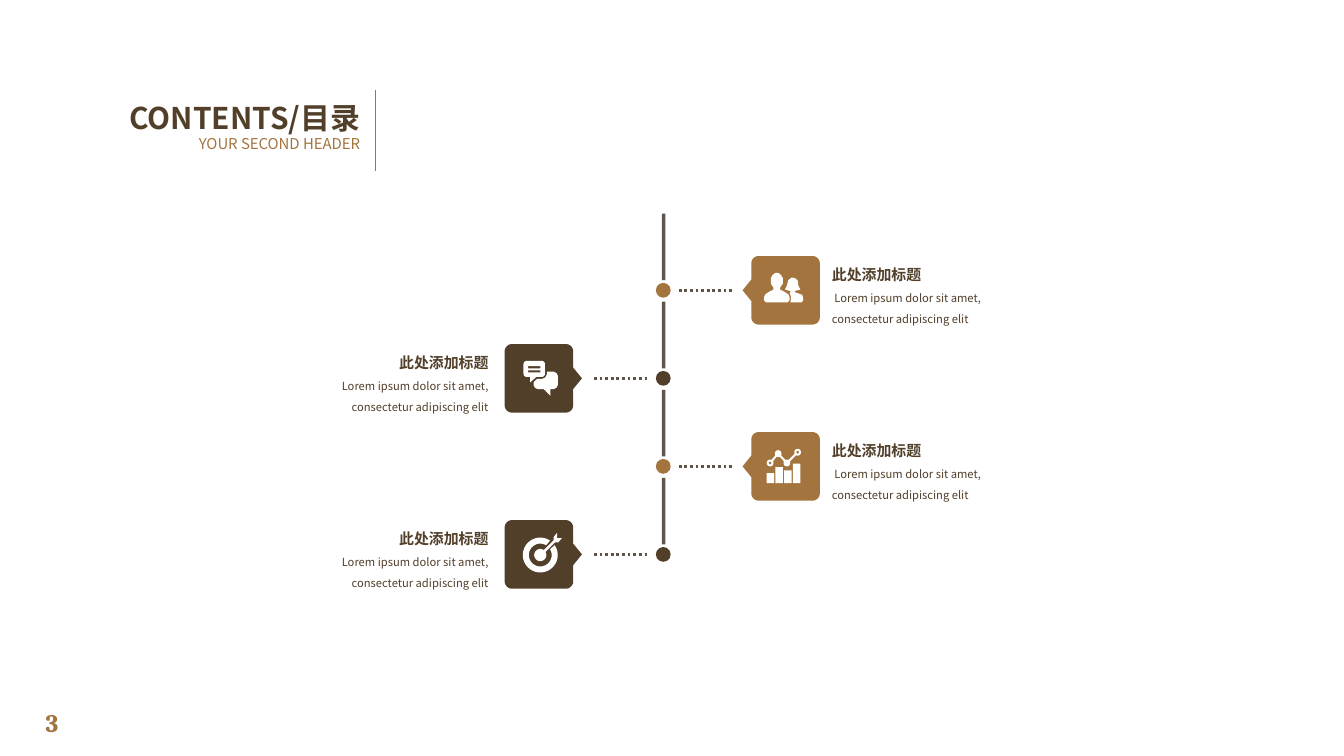
import math
from dataclasses import dataclass

import lxml.etree
import pptx
import pptx.dml.color
import pptx.enum.dml
import pptx.enum.shapes
import pptx.enum.text
import pptx.oxml.ns
import pptx.util

Inches = pptx.util.Inches
Align = pptx.enum.text.PP_ALIGN
Anchor = pptx.enum.text.MSO_ANCHOR
Kind = pptx.enum.shapes.MSO_SHAPE
qn = pptx.oxml.ns.qn
Point = tuple[float, float]
Path = list[Point]

BROWN, GOLD, GREY, WHITE = "513F2A", "A3743D", "5F5549", "FFFFFF"
SANS = "Noto Sans CJK SC"
TOP, STEP, SPINE = 4.32, 1.31, 9.87


@dataclass
class Style:
    size: float
    color: str
    bold: bool = False
    face: str = SANS
    space: float = 1.0
    align: Align = Align.LEFT
    anchor: Anchor = Anchor.TOP
    inset: bool = True
    wrap: bool = True


@dataclass
class Item:
    side: int
    color: str
    icon: list[Path]
    title: str = "此处添加标题"
    body: str = " Lorem ipsum dolor sit amet, consectetur adipiscing elit"


def paint(fmt, color: str) -> None:
    fmt.solid()
    fmt.fore_color.rgb = pptx.dml.color.RGBColor.from_string(color)


def finish(shape, color: str) -> None:
    shape.shadow.inherit = False
    paint(shape.fill, color)
    shape.line.fill.background()


def write(slide, box: tuple, text: str, style: Style) -> None:
    frame = slide.shapes.add_textbox(*map(Inches, box)).text_frame
    frame.word_wrap = style.wrap
    frame.vertical_anchor = style.anchor
    if not style.inset:
        frame.margin_left = frame.margin_right = 0
        frame.margin_top = frame.margin_bottom = 0
    frame.text = text
    para = frame.paragraphs[0]
    para.alignment = style.align
    para.line_spacing = style.space
    font = para.runs[0].font
    font.size = pptx.util.Pt(style.size)
    font.bold = style.bold
    font.name = style.face
    paint(font.fill, style.color)
    east = lxml.etree.Element(qn("a:ea"), typeface=style.face)
    para.runs[0]._r.rPr.find(qn("a:latin")).addnext(east)


def rule(slide, start: Point, end: Point, color: str, width: float, dash=None) -> None:
    line = slide.shapes.add_connector(
        pptx.enum.shapes.MSO_CONNECTOR.STRAIGHT, *map(Inches, start + end))
    paint(line.line.fill, color)
    line.line.width = pptx.util.Pt(width)
    if dash:
        line.line.dash_style = dash
    lxml.etree.SubElement(line._element.spPr, qn("a:effectLst"))


def block(slide, kind: Kind, box: tuple, color: str) -> None:
    finish(slide.shapes.add_shape(kind, *map(Inches, box)), color)


def draw(group, paths: list[Path], mid: Point, color: str) -> None:
    build = None
    for path in paths:
        spots = [(Inches(mid[0] + x), Inches(mid[1] + y)) for x, y in path]
        if build is None:
            build = group.shapes.build_freeform(*spots[0], scale=1.0)
        else:
            build.move_to(*spots[0])
        build.add_line_segments(spots[1:], close=True)
    finish(build.convert_to_shape(), color)


def arc(x: float, y: float, r: float, start: float = 0, end: float = 360) -> Path:
    count = max(6, round(abs(end - start) / 10))
    turns = [math.radians(start + (end - start) * i / count) for i in range(count + 1)]
    return [(x + r * math.cos(t), y + r * math.sin(t)) for t in turns]


def rect(x: float, y: float, w: float, h: float) -> Path:
    return [(x, y), (x + w, y), (x + w, y + h), (x, y + h)]


def pad(x: float, y: float, w: float, h: float, r: float, tail: Path) -> Path:
    right, low = x + w - r, y + h - r
    return (arc(x + r, low, r, 90, 180) + arc(x + r, y + r, r, 180, 270)
            + arc(right, y + r, r, 270, 360) + arc(right, low, r, 0, 90) + tail)


def strip(a: Point, b: Point, trim: float = 0.05, half: float = 0.015) -> Path:
    size = math.dist(a, b)
    u, v = (b[0] - a[0]) / size, (b[1] - a[1]) / size
    ends = [(a[0] + u * trim, a[1] + v * trim), (b[0] - u * trim, b[1] - v * trim)]
    up = [(x - v * half, y + u * half) for x, y in ends]
    down = [(x + v * half, y - u * half) for x, y in reversed(ends)]
    return up + down


def people() -> list[Path]:
    half = [(0.02, -0.26), (0.06, -0.23), (0.09, -0.18), (0.09, -0.1), (0.05, -0.04),
            (0.05, -0.01), (0.11, 0.02), (0.17, 0.06), (0.19, 0.1), (0.19, 0.15),
            (0.16, 0.18)]
    man = [(x - 0.13, y) for x, y in half] + [(-x - 0.13, y) for x, y in reversed(half)]
    woman = [(0.07, 0.18), (0.08, 0.15), (0.08, 0.09), (0.06, 0.04), (0.07, 0.03),
             (0.07, 0.01), (-0.01, -0.01), (0.02, -0.07), (0.04, -0.15), (0.09, -0.19),
             (0.14, -0.18), (0.18, -0.15), (0.19, -0.07), (0.22, -0.01), (0.14, 0.01),
             (0.14, 0.03), (0.2, 0.05), (0.25, 0.07), (0.26, 0.11), (0.26, 0.15),
             (0.24, 0.18)]
    return [man, woman]


def chat() -> list[Path]:
    tail = [(-0.04, -0.02), (-0.13, 0.06), (-0.13, -0.02)]
    back = [(0.12, -0.1), (0.22, -0.1), (0.26, -0.08), (0.28, -0.04), (0.28, 0.1),
            (0.26, 0.14), (0.22, 0.16), (0.17, 0.16), (0.17, 0.26), (0.07, 0.16),
            (-0.02, 0.16), (-0.06, 0.14), (-0.08, 0.1), (-0.08, 0.06), (-0.03, 0.01),
            (0.04, 0.01), (0.09, -0.01), (0.12, -0.06)]
    lines = [rect(-0.16, y, 0.18, 0.03) for y in (-0.18, -0.12)]
    return [pad(-0.23, -0.26, 0.32, 0.24, 0.05, tail), *lines, back]


def chart() -> list[Path]:
    bars = [rect(-0.28 + 0.13 * i, y, 0.11, 0.25 - y)
            for i, y in enumerate((0.1, 0.01, 0.06, -0.04))]
    nodes = [(-0.23, -0.05), (-0.11, -0.19), (0.02, -0.05), (0.18, -0.21)]
    dots = [arc(*node, 0.05) for node in nodes]
    holes = [arc(*node, 0.02) for node in (nodes[0], nodes[-1])]
    return bars + dots + holes + [strip(a, b) for a, b in zip(nodes, nodes[1:])]


def target() -> list[Path]:
    ring = arc(0, 0, 0.26, -34, 304) + arc(0, 0, 0.17, 301, -31)
    dart = [(0.05, -0.07), (0.2, -0.22), (0.2, -0.27), (0.25, -0.33), (0.25, -0.25),
            (0.32, -0.25), (0.27, -0.19), (0.22, -0.19), (0.08, -0.05)]
    paths = [ring, arc(0, 0, 0.09, -32, 306) + dart]
    return [[(x + 0.02, y + 0.01) for x, y in path] for path in paths]


def entry(slide, row: int, item: Item) -> None:
    y = TOP + STEP * row
    right = item.side > 0
    block(slide, Kind.RECTANGLE, (9.85, y - 1.14, 0.05, 0.99), GREY)
    block(slide, Kind.OVAL, (SPINE - 0.11, y - 0.11, 0.22, 0.22), item.color)
    near, far = SPINE + item.side * 0.23, SPINE + item.side * 1.03
    rule(slide, (min(near, far), y), (max(near, far), y), GREY, 3,
         pptx.enum.dml.MSO_LINE.ROUND_DOT)

    mid = (11.69 if right else 8.02, y)
    tip = [(0.16, 0.51), (0, 0.64), (-0.16, 0.51)]
    card = pad(-0.51, -0.51, 1.02, 1.02, 0.11, tip)
    group = slide.shapes.add_group_shape()
    draw(group, [[(-item.side * b, a) for a, b in card]], mid, item.color)
    draw(group, item.icon, mid, WHITE)

    align = Align.LEFT if right else Align.RIGHT
    write(slide, (12.38 if right else 5.19, y - 0.5, 2.08, 0.39), item.title,
          Style(16, BROWN, True, space=1.5, align=align, anchor=Anchor.MIDDLE, inset=False))
    write(slide, (12.38 if right else 4.34, y - 0.08, 2.93, 0.59), item.body,
          Style(12, BROWN, space=1.5, align=align, inset=False))


def main() -> None:
    deck = pptx.Presentation()
    deck.slide_width, deck.slide_height = Inches(20), Inches(11.25)
    slide = deck.slides.add_slide(deck.slide_layouts[6])
    write(slide, (0.58, 10.48, 0.71, 0.56), "3",
          Style(27, GOLD, True, "Cambria", wrap=False))
    rule(slide, (5.58, 1.34), (5.58, 2.55), GOLD, 0.5)
    write(slide, (0.58, 1.45, 4.88, 0.62), "CONTENTS/目录",
          Style(32, BROWN, True, space=0.9, align=Align.RIGHT, anchor=Anchor.BOTTOM))
    write(slide, (0.58, 1.98, 4.88, 0.42), "YOUR SECOND HEADER",
          Style(16, GOLD, space=0.9, align=Align.RIGHT))
    items = [Item(1, GOLD, people()), Item(-1, BROWN, chat()),
             Item(1, GOLD, chart()), Item(-1, BROWN, target())]
    for row, item in enumerate(items):
        entry(slide, row, item)
    deck.save("out.pptx")


if __name__ == "__main__":
    main()
